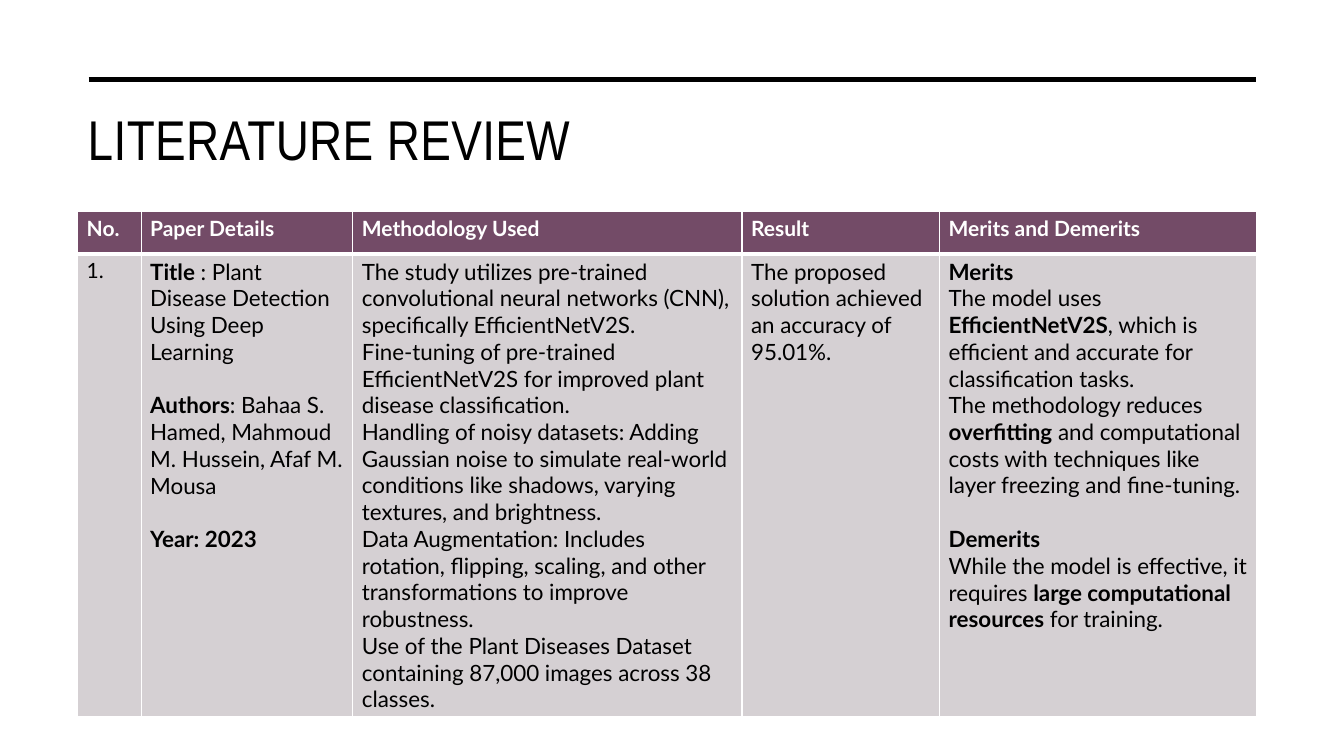
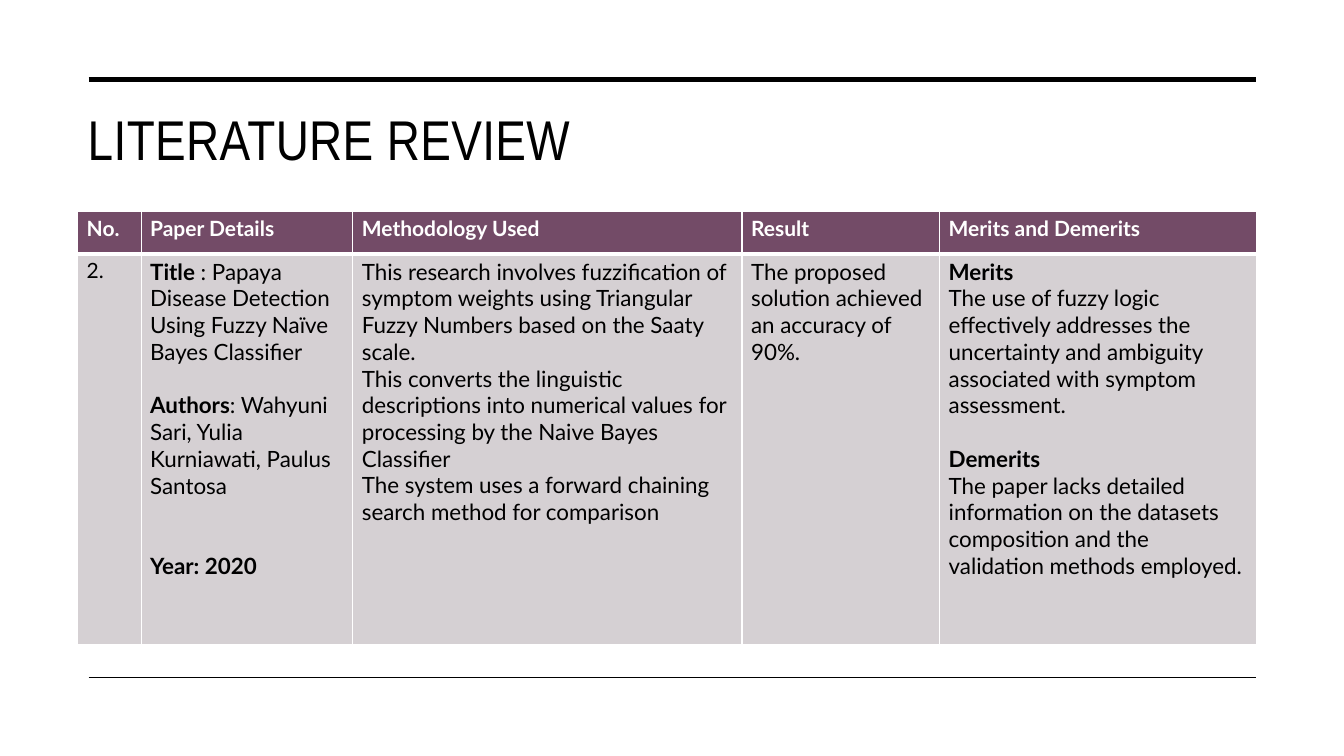
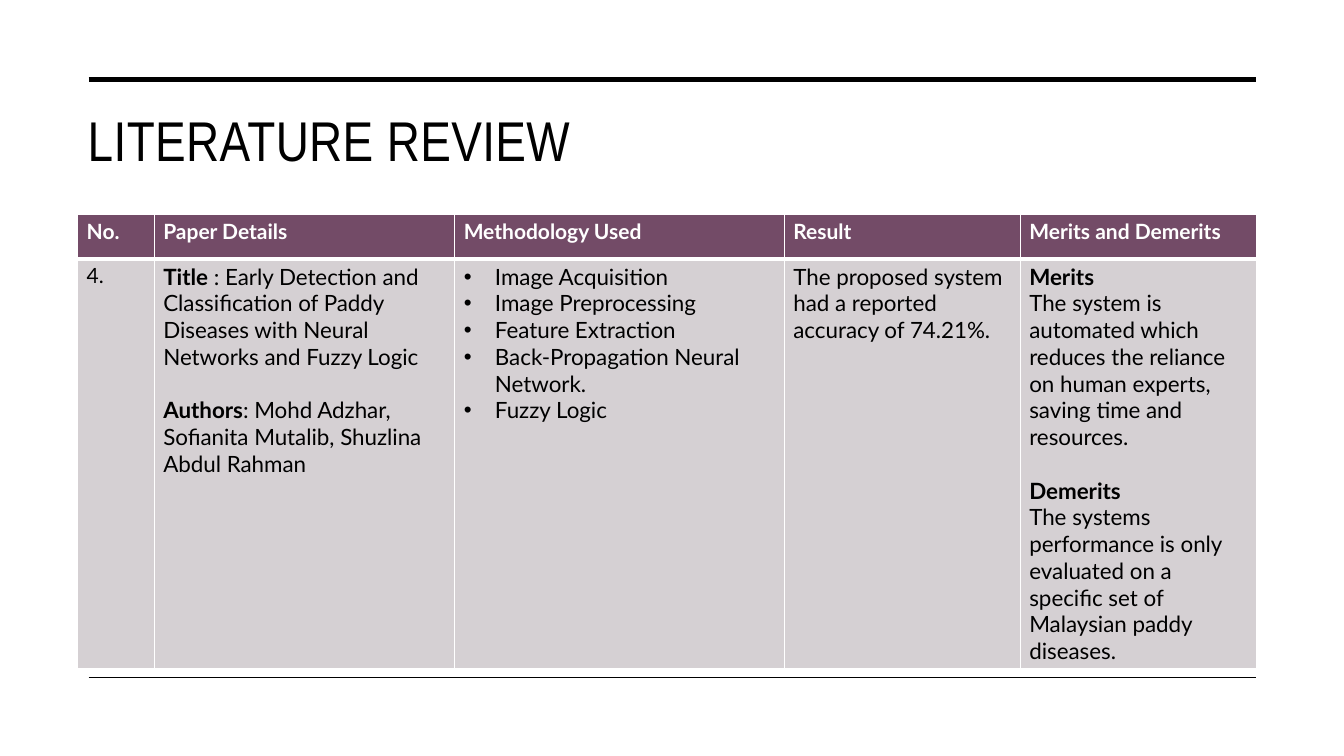
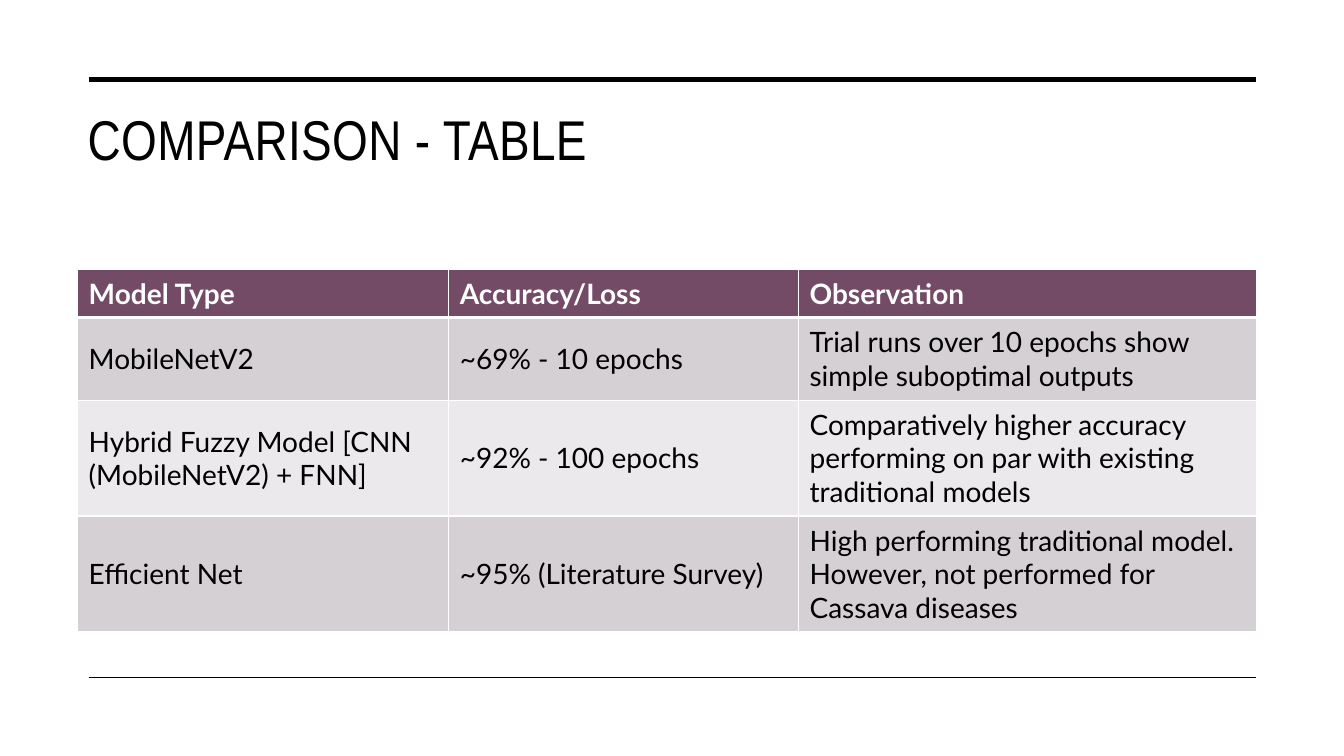
"""Build four slides with literature review and comparison tables."""
from lxml.etree import SubElement
from pptx import Presentation
from pptx.dml.color import RGBColor
from pptx.enum.shapes import MSO_CONNECTOR
from pptx.enum.text import MSO_ANCHOR, MSO_AUTO_SIZE, PP_ALIGN
from pptx.oxml.ns import qn
from pptx.util import Inches, Pt

BLACK, WHITE = "000000", "FFFFFF"
PLUM, MAUVE, PALE = "734B67", "D5D0D3", "EBE9EB"
TITLE_FONT, BODY_FONT = "Arial Narrow", "Lato"
LEFT, WIDTH = 0.77, 11.69
BLANK_LINE = 1.2
REVIEW_HEADER = ["No.", "Paper Details", "Methodology Used", "Result", "Merits and Demerits"]
REVIEW_COLS = [0.63, 2.1, 3.86, 1.96, 3.14]
REVIEW_ROWS = [0.42, 3.88]

FIRST_PAPER = [
    ["1."],
    ["*Title* : Plant Disease Detection Using Deep Learning",
     "\n*Authors*: Bahaa S. Hamed, Mahmoud M. Hussein, Afaf M. Mousa",
     "\n*Year: 2023*"],
    ["The study utilizes pre-trained convolutional neural networks (CNN), specifically EfficientNetV2S.",
     "Fine-tuning of pre-trained EfficientNetV2S for improved plant disease classification.",
     "Handling of noisy datasets: Adding Gaussian noise to simulate real-world conditions like shadows, "
     "varying textures, and brightness.",
     "Data Augmentation: Includes rotation, flipping, scaling, and other transformations to improve robustness.",
     "Use of the Plant Diseases Dataset containing 87,000 images across 38 classes."],
    ["The proposed solution achieved an accuracy of 95.01%."],
    ["*Merits*",
     "The model uses *EfficientNetV2S*, which is efficient and accurate for classification tasks.",
     "The methodology reduces *overfitting* and computational costs with techniques like layer freezing "
     "and fine-tuning.",
     "\n*Demerits*",
     "While the model is effective, it requires *large computational resources* for training."],
]
SECOND_PAPER = [
    ["2."],
    ["*Title* : Papaya Disease Detection Using Fuzzy Naïve Bayes Classifier",
     "\n*Authors*: Wahyuni Sari, Yulia Kurniawati, Paulus Santosa",
     "\n\n*Year: 2020*"],
    ["This research involves fuzzification of symptom weights using Triangular Fuzzy Numbers based on "
     "the Saaty scale.",
     "This converts the linguistic descriptions into numerical values for processing by the Naive Bayes Classifier",
     "The system uses a forward chaining search method for comparison"],
    ["The proposed solution achieved an accuracy of 90%."],
    ["*Merits*",
     "The use of fuzzy logic effectively addresses the uncertainty and ambiguity associated with "
     "symptom assessment.",
     "\n*Demerits*",
     "The paper lacks detailed information on the datasets composition and the validation methods employed."],
]
FOURTH_PAPER = [
    ["4."],
    ["*Title* : Early Detection and Classification of Paddy Diseases with Neural Networks and Fuzzy Logic",
     "\n*Authors*: Mohd Adzhar, Sofianita Mutalib, Shuzlina Abdul Rahman"],
    ["•Image Acquisition", "•Image Preprocessing", "•Feature Extraction",
     "•Back-Propagation Neural Network.", "•Fuzzy Logic"],
    ["The proposed system had a reported accuracy of 74.21%."],
    ["*Merits*",
     "The system is automated which reduces the reliance on human experts, saving time and resources.",
     "\n*Demerits*",
     "The systems performance is only evaluated on a specific set of Malaysian paddy diseases."],
]
MODELS = [
    ["Model Type", "Accuracy/Loss", "Observation"],
    ["MobileNetV2", "~69% - 10 epochs", "Trial runs over 10 epochs show simple suboptimal outputs"],
    ["Hybrid Fuzzy Model [CNN (MobileNetV2) + FNN]", "~92% - 100 epochs",
     "Comparatively higher accuracy performing on par with existing traditional models"],
    ["Efficient Net", "~95% (Literature Survey)",
     "High performing traditional model. However, not performed for Cassava diseases"],
]


def color(value):
    """Return the colour for a hex string."""
    return RGBColor.from_string(value)


def style_run(r, size, font, shade, bold=False):
    """Set the size, font, colour and weight of a run."""
    r.font.size = Pt(size)
    r.font.name = font
    r.font.color.rgb = color(shade)
    r.font.bold = bold


def add_rules(slide, layout):
    """Draw the two horizontal rules and move them to the layout."""
    for y, weight in ((0.79, 3.5), (6.72, 1)):
        rule = slide.shapes.add_connector(
            MSO_CONNECTOR.STRAIGHT, Inches(0.88), Inches(y), Inches(12.46), Inches(y))
        rule.line.color.rgb = color(BLACK)
        rule.line.width = Pt(weight)
        SubElement(rule.element.spPr, qn("a:effectLst"))
        layout.shapes.element.append(rule.element)


def add_title(slide, text, top=0.99, height=1.26):
    """Place and format the slide title."""
    title = slide.shapes.title
    title.left, title.top = Inches(LEFT), Inches(top)
    title.width, title.height = Inches(WIDTH), Inches(height)
    tf = title.text_frame
    tf.text = text
    tf.vertical_anchor = MSO_ANCHOR.TOP
    tf.auto_size = MSO_AUTO_SIZE.NONE
    p = tf.paragraphs[0]
    p.alignment = PP_ALIGN.LEFT
    r = p.runs[0]
    style_run(r, 40, TITLE_FONT, BLACK)
    r.font._element.set("spc", "30")


def add_bullet(p):
    """Give a paragraph a hanging round bullet."""
    pPr = p._p.get_or_add_pPr()
    pPr.set("marL", str(Inches(0.31)))
    pPr.set("indent", str(-Inches(0.31)))
    SubElement(pPr, qn("a:buFont"), typeface="Arial")
    SubElement(pPr, qn("a:buChar"), char="•")


def write_paragraph(p, text, size, shade, bold):
    """Write text in which newlines lead a gap, • a bullet and * encloses bold."""
    body = text.lstrip("\n")
    gap = len(text) - len(body)
    if gap:
        p.space_before = Pt(gap * BLANK_LINE * size)
    if body.startswith("•"):
        add_bullet(p)
    for i, part in enumerate(body.lstrip("•").split("*")):
        if part:
            r = p.add_run()
            r.text = part
            style_run(r, size, BODY_FONT, shade, bold or i % 2 == 1)


def set_borders(cell, top, bottom):
    """Draw white cell borders with the given top and bottom weights."""
    tcPr = cell._tc.get_or_add_tcPr()
    for side, weight in (("L", 1), ("R", 1), ("T", top), ("B", bottom)):
        ln = SubElement(tcPr, qn(f"a:ln{side}"), w=str(Pt(weight)))
        SubElement(SubElement(ln, qn("a:solidFill")), qn("a:srgbClr"), val=WHITE)


def fill_cell(cell, paragraphs, row, size, inset, anchor):
    """Format one cell by its row and write its paragraphs."""
    header = row == 0
    set_borders(cell, 3 if row == 1 else 1, 3 if header else 1)
    cell.fill.solid()
    cell.fill.fore_color.rgb = color(PLUM if header else MAUVE if row % 2 else PALE)
    cell.margin_left = cell.margin_right = Inches(inset)
    cell.margin_top = cell.margin_bottom = Inches(inset - 0.05)
    cell.vertical_anchor = anchor
    tf = cell.text_frame
    for i, text in enumerate(paragraphs):
        p = tf.add_paragraph() if i else tf.paragraphs[0]
        write_paragraph(p, text, size, WHITE if header else BLACK, header)


def add_grid(slide, top, cols, rows, cells, size_of, inset=0.09, anchor=MSO_ANCHOR.TOP):
    """Add a table whose text size comes from size_of(row, column)."""
    table = slide.shapes.add_table(
        len(rows), len(cols), Inches(LEFT), Inches(top), Inches(WIDTH), Inches(sum(rows))).table
    for column, width in zip(table.columns, cols):
        column.width = Inches(width)
    for row, height in zip(table.rows, rows):
        row.height = Inches(height)
    for i, line in enumerate(cells):
        for j, paragraphs in enumerate(line):
            fill_cell(table.cell(i, j), paragraphs, i, size_of(i, j), inset, anchor)


def add_review(slide, paper, top=2.1, cols=REVIEW_COLS, rows=REVIEW_ROWS):
    """Add the review table of one paper."""
    header = [[name] for name in REVIEW_HEADER]
    add_grid(slide, top, cols, rows, [header, paper], lambda i, j: 16 if i and j else 15)


def main():
    """Build and save the presentation."""
    prs = Presentation()
    prs.slide_width, prs.slide_height = Inches(13.33), Inches(7.5)
    layout = prs.slide_layouts[5]
    first, second, third, comparison = [prs.slides.add_slide(layout) for _ in range(4)]
    add_rules(first, layout)

    for slide, paper in ((first, FIRST_PAPER), (second, SECOND_PAPER)):
        add_title(slide, "LITERATURE REVIEW")
        add_review(slide, paper)

    add_title(third, "LITERATURE REVIEW", 1, 1.43)
    add_review(third, FOURTH_PAPER, 2.13, [0.76, 2.98, 3.27, 2.34, 2.34], [0.44, 3.85])

    add_title(comparison, "COMPARISON - TABLE")
    cells = [[[text] for text in row] for row in MODELS]
    add_grid(comparison, 2.67, [3.68, 3.47, 4.54], [0.48, 0.82, 1.15, 1.15], cells,
             lambda i, j: 20, 0.11, MSO_ANCHOR.MIDDLE)
    prs.save("out.pptx")


if __name__ == "__main__":
    main()
